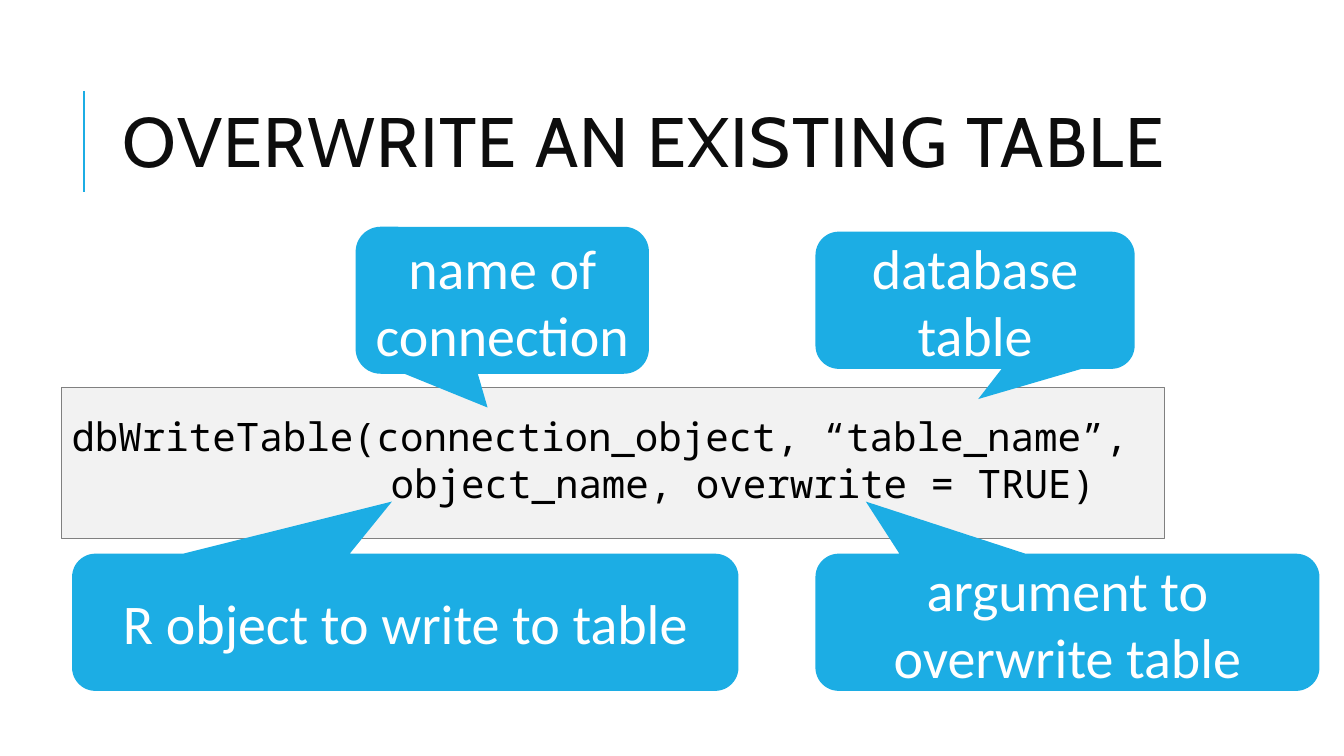
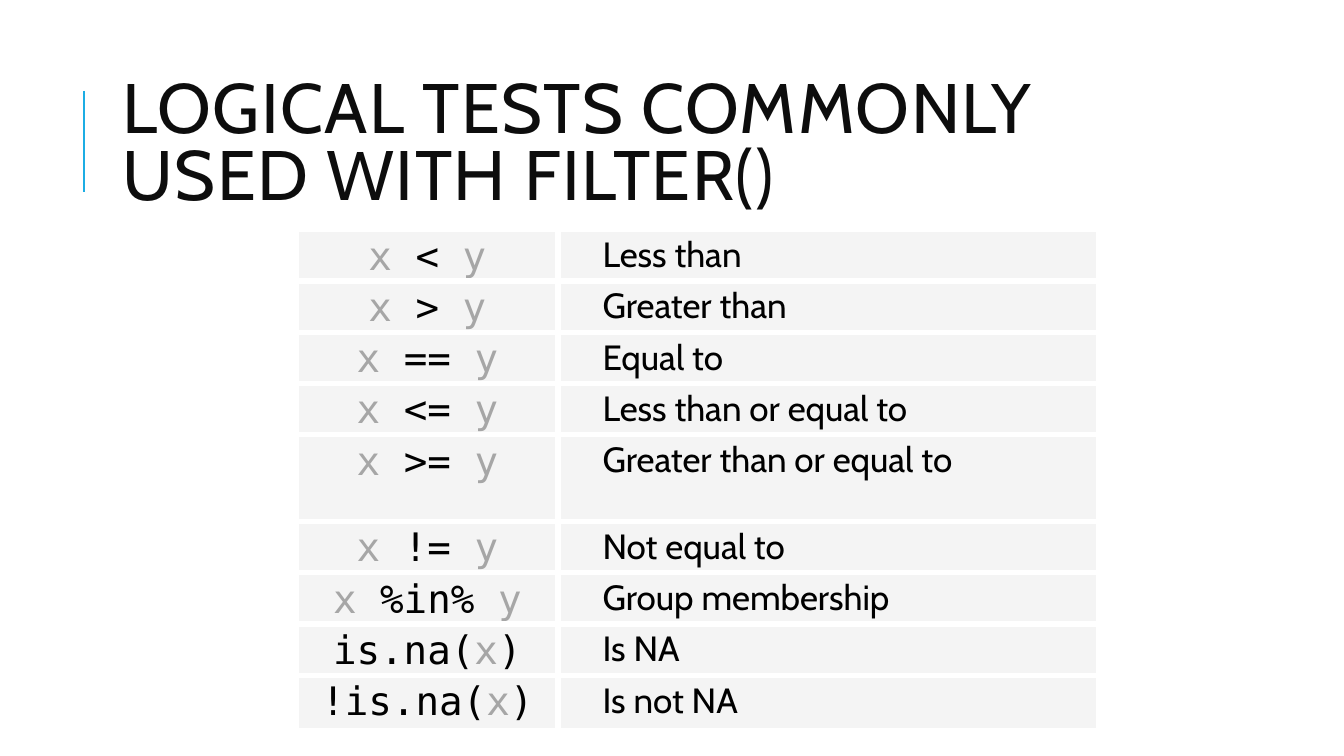
from dataclasses import dataclass

from lxml.etree import SubElement as Sub
from pptx import Presentation
from pptx.dml.color import RGBColor as RGB
from pptx.enum.shapes import MSO_CONNECTOR as Link, MSO_SHAPE as Kind
from pptx.enum.text import MSO_ANCHOR as Anchor, PP_ALIGN as Align
from pptx.oxml.ns import qn
from pptx.util import Pt


@dataclass(frozen=True)
class Theme:
    blue: str = "1CADE4"
    white: str = "FFFFFF"
    black: str = "000000"
    ink: str = "0D0D0D"
    soft: str = "A6A6A6"
    edge: str = "808080"
    panel: str = "F2F2F2"
    cell: str = "EBEBEB"
    head: tuple = ("Cabin", 50)
    label: tuple = ("Calibri", 40)
    code: tuple = ("Noto Sans Mono", 28)
    test: tuple = ("DejaVu Sans Mono", 28)
    note: tuple = ("Cabin", 25)


class Deck:
    def __init__(self, theme):
        self.theme = theme
        self.file = Presentation()
        self.file.slide_width, self.file.slide_height = Pt(960), Pt(540)
        self.slide = None

    def run(self, para, text, style, color):
        run = para.add_run()
        run.text = text
        run.font.name, size = style
        run.font.size = Pt(size)
        run.font.color.rgb = RGB.from_string(color)
        return run

    def page(self, title):
        """Start a slide with its side rule and title."""
        t = self.theme
        self.slide = self.file.slides.add_slide(self.file.slide_layouts[6])
        rule = self.slide.shapes.add_connector(
            Link.STRAIGHT, Pt(60), Pt(65), Pt(60), Pt(137))
        rule.line.color.rgb = RGB.from_string(t.blue)
        rule.line.width = Pt(1.5)
        Sub(rule._element.spPr, qn("a:effectLst"))
        box = self.slide.shapes.add_textbox(Pt(80.64), Pt(46), Pt(765.36), Pt(118))
        frame = box.text_frame
        frame.word_wrap = True
        frame.vertical_anchor = Anchor.MIDDLE
        para = frame.paragraphs[0]
        para.line_spacing = 0.8
        run = self.run(para, title, t.head, t.ink)
        run.font._element.set("spc", "100")

    def shape(self, kind, area, fill):
        shape = self.slide.shapes.add_shape(kind, *map(Pt, area))
        shape.shadow.inherit = False
        shape.fill.solid()
        shape.fill.fore_color.rgb = RGB.from_string(fill)
        shape.line.fill.background()
        shape.text_frame.word_wrap = True
        return shape

    def code(self, area, lines):
        """Draw a code panel from (indent, text) lines."""
        t = self.theme
        panel = self.shape(Kind.RECTANGLE, area, t.panel)
        panel.line.color.rgb = RGB.from_string(t.edge)
        panel.line.width = Pt(0.75)
        frame = panel.text_frame
        frame.vertical_anchor = Anchor.TOP
        frame.margin_top = Pt(17.5)
        for i, (indent, text) in enumerate(lines):
            para = frame.add_paragraph() if i else frame.paragraphs[0]
            para.alignment = Align.LEFT
            para._p.get_or_add_pPr().set("marL", str(Pt(indent)))
            self.run(para, text, t.code, t.black)

    def callout(self, text, area, tip):
        """Draw a bubble; tip is the offset from its centre, as shares of its size."""
        t = self.theme
        bubble = self.shape(Kind.ROUNDED_RECTANGULAR_CALLOUT, area, t.blue)
        for i, share in enumerate((*tip, 0.17)):
            bubble.adjustments[i] = share
        frame = bubble.text_frame
        frame.vertical_anchor = Anchor.MIDDLE
        para = frame.paragraphs[0]
        para.alignment = Align.CENTER
        self.run(para, text, t.label, t.white)

    def cell(self, cell, left):
        """Style a table cell and return its paragraph."""
        t = self.theme
        cell.margin_left, cell.margin_top = Pt(left), Pt(3)
        cell.margin_right = cell.margin_bottom = 0
        props = cell._tc.get_or_add_tcPr()
        for side in ("lnL", "lnR", "lnT", "lnB"):
            line = Sub(props, qn(f"a:{side}"), w=str(Pt(4.25)))
            Sub(Sub(line, qn("a:solidFill")), qn("a:srgbClr"), val=t.white)
        cell.fill.solid()
        cell.fill.fore_color.rgb = RGB.from_string(t.cell)
        Sub(props.find(qn("a:solidFill"))[0], qn("a:alpha"), val="50000")
        return cell.text_frame.paragraphs[0]

    def table(self, spot, cols, rows, tests):
        t = self.theme
        frame = self.slide.shapes.add_table(
            len(rows), len(cols), *map(Pt, (*spot, sum(cols), sum(rows))))
        grid = frame.table
        grid.first_row = grid.horz_banding = False
        for col, width in zip(grid.columns, cols):
            col.width = Pt(width)
        for row, height, (parts, note) in zip(grid.rows, rows, tests):
            row.height = Pt(height)
            para = self.cell(row.cells[0], 0)
            para.alignment = Align.CENTER
            for part in parts:
                color = t.soft if part.strip() in ("x", "y") else t.black
                self.run(para, part, t.test, color)
            self.run(self.cell(row.cells[1], 32), note, t.note, t.black)

    def save(self):
        self.file.save("out.pptx")


PAIRS = [
    ("<", "Less than"),
    (">", "Greater than"),
    ("==", "Equal to"),
    ("<=", "Less than or equal to"),
    (">=", "Greater than or equal to"),
    ("!=", "Not equal to"),
    ("%in%", "Group membership"),
]
TESTS = [(("x ", f"{sign} ", "y"), note) for sign, note in PAIRS] + [
    (("is.na(", "x", ")"), "Is NA"),
    (("!is.na(", "x", ")"), "Is not NA"),
]
LABELS = [
    ("name of connection", (254, 162, 209.5, 105), (-0.05, 0.73)),
    ("database table", (582.5, 165.5, 228, 98), (0.01, 0.72)),
    ("R object to write to table", (51.5, 395.5, 476, 98), (-0.02, -0.88)),
    ("argument to overwrite table", (582.5, 395.5, 360, 98), (-0.4, -0.88)),
]


def main():
    deck = Deck(Theme())
    deck.page("OVERWRITE AN EXISTING TABLE")
    deck.code((44, 277, 788, 108), [
        (0, "dbWriteTable(connection_object, “table_name”,"),
        (228, "object_name, overwrite = TRUE)"),
    ])
    for label in LABELS:
        deck.callout(*label)

    deck.page("LOGICAL TESTS COMMONLY USED WITH FILTER()")
    deck.table((212, 164), (186.5, 386), [34] * 4 + [62] + [34] * 3 + [39.5], TESTS)
    deck.save()


if __name__ == "__main__":
    main()
